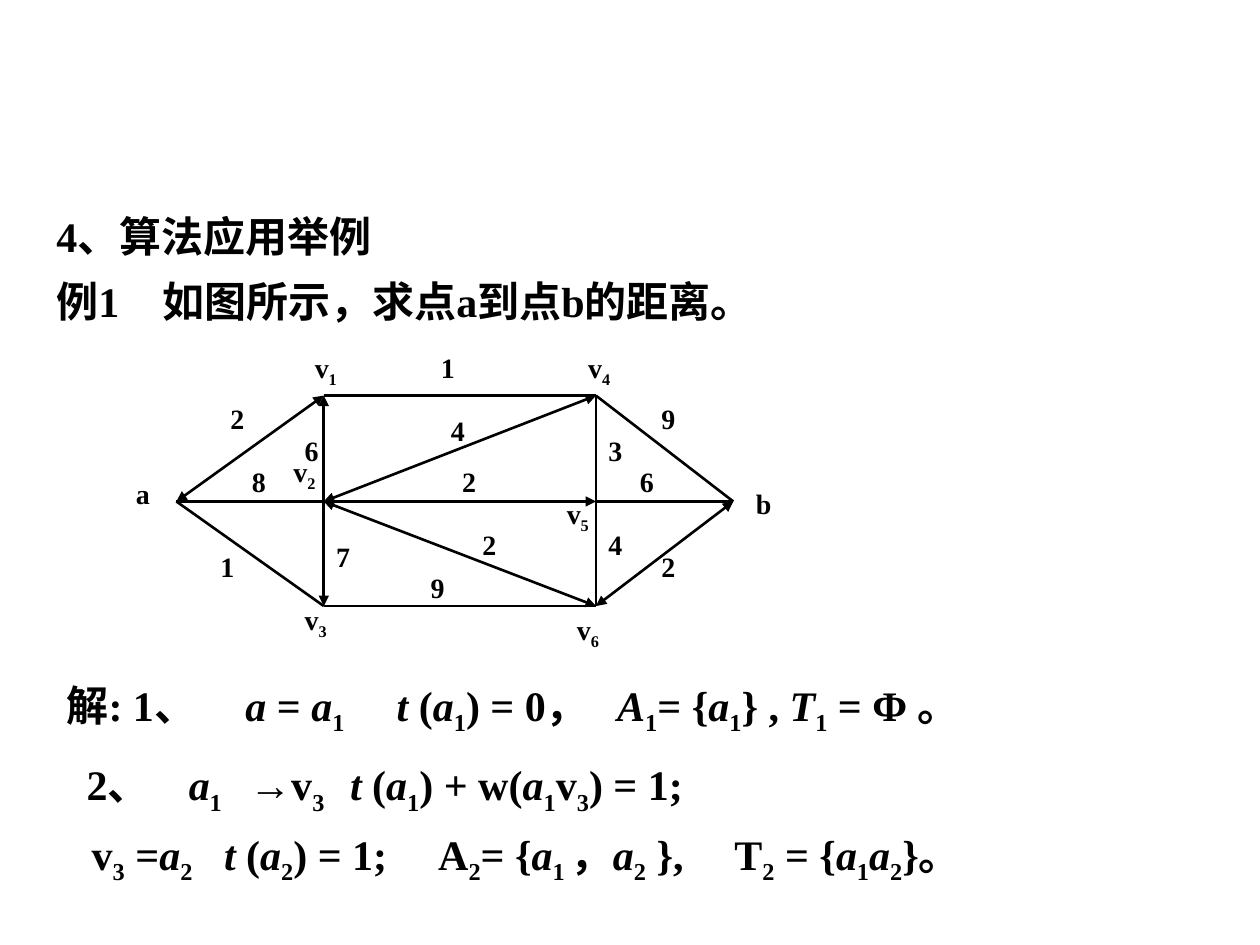
from lxml import etree
from pptx import Presentation
from pptx.dml.color import RGBColor
from pptx.enum import shapes, text
from pptx.oxml.ns import qn
from pptx.util import Inches, Pt

INK = RGBColor.from_string("000000")


def write(parent, content, left, top, width, height, size, tabs=(), middle=False):
    """Add a text box; in content, | splits runs, _ opens a subscript and / an italic run."""
    box = parent.add_textbox(Inches(left), Inches(top), Inches(width), Inches(height))
    frame = box.text_frame
    frame.word_wrap = True
    frame.auto_size = text.MSO_AUTO_SIZE.SHAPE_TO_FIT_TEXT
    frame.vertical_anchor = text.MSO_ANCHOR.MIDDLE if middle else text.MSO_ANCHOR.TOP
    line = frame.paragraphs[0]
    if tabs:
        stops = etree.SubElement(line._p.get_or_add_pPr(), qn("a:tabLst"))
        for stop in tabs:
            etree.SubElement(stops, qn("a:tab"), pos=str(Inches(stop)), algn="l")
    for part in content.split("|"):
        run = line.add_run()
        run.text = part.lstrip("_/")
        run.font.name = "Times New Roman"
        run.font.size = Pt(size)
        run.font.bold = True
        run.font.italic = part.startswith("/")
        run.font.color.rgb = INK
        if part.startswith("_"):
            run.font._element.set("baseline", "-25000")


def connect(parent, start, end, two_way):
    edge = parent.add_connector(shapes.MSO_CONNECTOR.STRAIGHT, *map(Inches, start + end))
    edge.line.color.rgb = INK
    edge.line.width = Pt(1.5)
    if two_way:
        outline = edge.line._get_or_add_ln()
        for tip in ("a:headEnd", "a:tailEnd"):
            etree.SubElement(outline, qn(tip), type="triangle")
    etree.SubElement(edge._element.spPr, qn("a:effectLst"))


deck = Presentation()
deck.slide_width, deck.slide_height = Inches(10), Inches(7.5)
slide = deck.slides.add_slide(deck.slide_layouts[6])

write(slide.shapes, "4、算法应用举例", 0.35, 1.62, 9, 0.5, 24)
write(slide.shapes, "例1\t如图所示，求点a到点b的距离。", 0.35, 2.14, 9, 0.5, 24, [0.84])

graph = slide.shapes.add_group_shape().shapes
upper, centre, lower = 3.14, 3.98, 4.81
inner_left, inner_right = 2.57, 4.73
vertices = {
    "a": (1.4, centre), "b": (5.82, centre),
    "v1": (inner_left, upper), "v2": (inner_left, centre), "v3": (inner_left, lower),
    "v4": (inner_right, upper), "v5": (inner_right, centre), "v6": (inner_right, lower),
}
one_way_edges = ["v1 v4", "a v3", "a v2", "v4 v6", "v3 v6", "v5 b", "v4 b"]
two_way_edges = ["v1 a", "v1 v3", "v2 v5", "b v6", "v4 v2", "v2 v6"]
for pair in one_way_edges + two_way_edges:
    start, end = pair.split()
    connect(graph, vertices[start], vertices[end], pair in two_way_edges)

weights = [
    ("8", 1.9, 3.64), ("1", 1.65, 4.31), ("2", 1.73, 3.14), ("6", 2.32, 3.39),
    ("1", 3.4, 2.73), ("4", 3.48, 3.23), ("2", 3.57, 3.64), ("2", 3.73, 4.14),
    ("7", 2.57, 4.23), ("9", 3.32, 4.48), ("2", 5.15, 4.31), ("4", 4.73, 4.14),
    ("6", 4.98, 3.64), ("9", 5.15, 3.14), ("3", 4.73, 3.39),
]
vertex_names = [
    ("a", 0.98, 3.73), ("v|_1", 2.4, 2.73), ("v|_2", 2.23, 3.56), ("v|_3", 2.32, 4.73),
    ("v|_4", 4.57, 2.73), ("v|_5", 4.4, 3.89), ("v|_6", 4.48, 4.81), ("b", 5.9, 3.81),
]
for label, left, top in weights + vertex_names:
    write(graph, label, left, top, 0.43, 0.41 if "_" in label else 0.37, 16)

solution = [
    ("解: 1、\t|/a |= |/a|_1|\t|/t |(|/a|_1|) = 0， \t|/A|_1|= {|/a|_1|} , |/T|_1| = Φ 。",
     0.43, 5.34, [1.42, 2.62, 4.37]),
    ("2、\t|/a|_1|\t→v|_3|\t|/t |(|/a|_1|) + w(|/a|_1|v|_3|) = 1;",
     0.59, 5.97, [0.81, 1.29, 2.09]),
    ("v|_3| =|/a|_2|\t|/t |(|/a|_2|) = 1;\tA|_2|= {|/a|_1 |，|/a|_2| },\tT|_2| = {|/a|_1|/a|_2|}。",
     0.63, 6.52, [1.05, 2.75, 5.1]),
]
for step, left, top, tabs in solution:
    write(slide.shapes, step, left, top, 7.83, 0.56, 24, tabs, middle=True)

deck.save("out.pptx")
